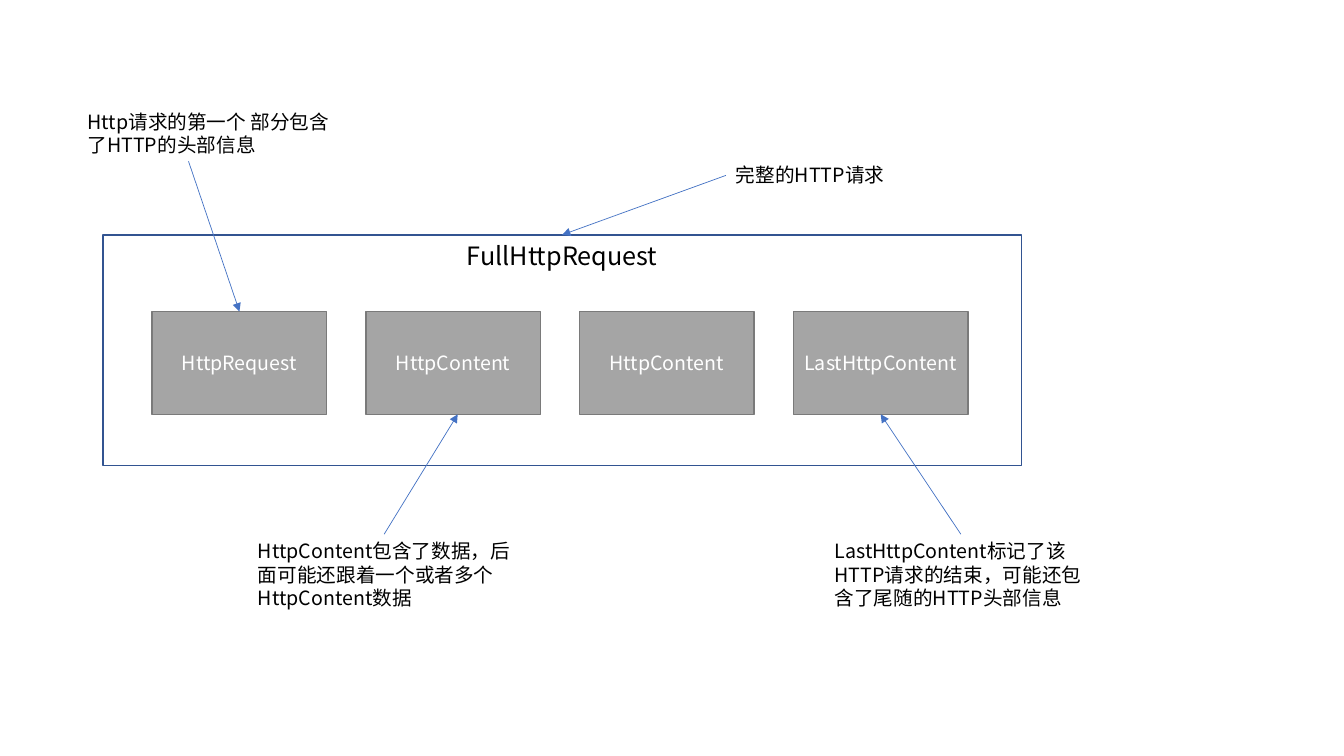
from dataclasses import dataclass
from typing import Optional

from lxml import etree
from pptx import Presentation
from pptx import util as u
from pptx.dml import color
from pptx.enum import shapes, text
from pptx.oxml import ns

FONT = "Noto Sans CJK SC"
TOP, LEFT, BOTTOM = 0, 1, 2


@dataclass
class Box:
    label: str
    left: float
    top: float
    width: float
    height: float
    fill: Optional[str] = None
    line: Optional[str] = None
    ink: str = "000000"
    size: int = 14
    anchor: text.MSO_ANCHOR = text.MSO_ANCHOR.TOP


@dataclass
class Arrow:
    note: int
    start: tuple[float, float]
    end: tuple[float, float]
    start_side: Optional[int]
    target: int
    end_side: Optional[int]


def rgb(value: str) -> color.RGBColor:
    return color.RGBColor.from_string(value)


def write(shape, box: Box, align: text.PP_ALIGN) -> None:
    frame = shape.text_frame
    frame.word_wrap = True
    frame.vertical_anchor = box.anchor
    para = frame.paragraphs[0]
    para.alignment = align
    span = para.add_run()
    span.text = box.label
    for name, value in {"name": FONT, "size": u.Pt(box.size)}.items():
        setattr(span.font, name, value)
    span.font.color.rgb = rgb(box.ink)
    east_asian = etree.SubElement(span.font._element, ns.qn("a:ea"))
    east_asian.set("typeface", FONT)


def place(box: Box) -> list:
    return [u.Inches(v) for v in (box.left, box.top, box.width, box.height)]


def draw_block(page, box: Box):
    shape = page.shapes.add_shape(shapes.MSO_SHAPE.RECTANGLE, *place(box))
    shape.shadow.inherit = False
    shape.fill.solid()
    shape.fill.fore_color.rgb = rgb(box.fill)
    shape.line.color.rgb = rgb(box.line)
    shape.line.width = u.Pt(1)
    write(shape, box, text.PP_ALIGN.CENTER)
    return shape


def draw_note(page, box: Box):
    shape = page.shapes.add_textbox(*place(box))
    write(shape, box, text.PP_ALIGN.LEFT)
    shape.text_frame.auto_size = text.MSO_AUTO_SIZE.SHAPE_TO_FIT_TEXT
    return shape


def draw_arrow(page, arrow: Arrow, notes: list, blocks: list) -> None:
    points = [u.Inches(v) for v in arrow.start + arrow.end]
    line = page.shapes.add_connector(shapes.MSO_CONNECTOR.STRAIGHT, *points)
    if arrow.start_side is not None:
        line.begin_connect(notes[arrow.note], arrow.start_side)
    if arrow.end_side is not None:
        line.end_connect(blocks[arrow.target], arrow.end_side)
    line.line.color.rgb = rgb("4472C4")
    line.line.width = u.Pt(0.5)
    head = etree.SubElement(line.line._get_or_add_ln(), ns.qn("a:tailEnd"))
    head.set("type", "triangle")
    etree.SubElement(line._element.spPr, ns.qn("a:effectLst"))


# Full request frame, then its four parts at an equal pitch
BLOCKS = [Box("FullHttpRequest", 1.02, 2.33, 9.11, 2.29, "FFFFFF", "325491", size=18)]
PARTS = ["HttpRequest", "HttpContent", "HttpContent", "LastHttpContent"]
BLOCKS += [
    Box(label, 1.51 + 2.12 * i, 3.09, 1.73, 1.02, "A5A5A5", "7A7A7A", "FFFFFF",
        anchor=text.MSO_ANCHOR.MIDDLE)
    for i, label in enumerate(PARTS)
]

# Explanations around the frame
NOTES = [
    Box("Http请求的第一个 部分包含了HTTP的头部信息", 0.77, 1.04, 2.7, 0.57),
    Box("完整的HTTP请求", 7.2, 1.57, 2.7, 0.34),
    Box("HttpContent包含了数据，后面可能还跟着一个或者多个HttpContent数据",
        2.46, 5.3, 2.7, 0.81),
    Box("LastHttpContent标记了该HTTP请求的结束，可能还包含了尾随的HTTP头部信息",
        8.18, 5.3, 2.7, 0.81),
]

# Arrows from each explanation to the block it describes
ARROWS = [
    Arrow(0, (1.87, 1.6), (2.38, 3.09), None, 1, TOP),
    Arrow(1, (7.2, 1.74), (5.57, 2.33), LEFT, 0, TOP),
    Arrow(2, (3.81, 5.3), (4.54, 4.11), TOP, 2, None),
    Arrow(3, (9.53, 5.3), (8.74, 4.11), TOP, 4, BOTTOM),
]


def main() -> None:
    deck = Presentation()
    deck.slide_width, deck.slide_height = u.Inches(13.33), u.Inches(7.5)
    page = deck.slides.add_slide(deck.slide_layouts[6])
    blocks = [draw_block(page, box) for box in BLOCKS]
    notes = [draw_note(page, box) for box in NOTES]
    for arrow in ARROWS:
        draw_arrow(page, arrow, notes, blocks)
    deck.save("out.pptx")


if __name__ == "__main__":
    main()
